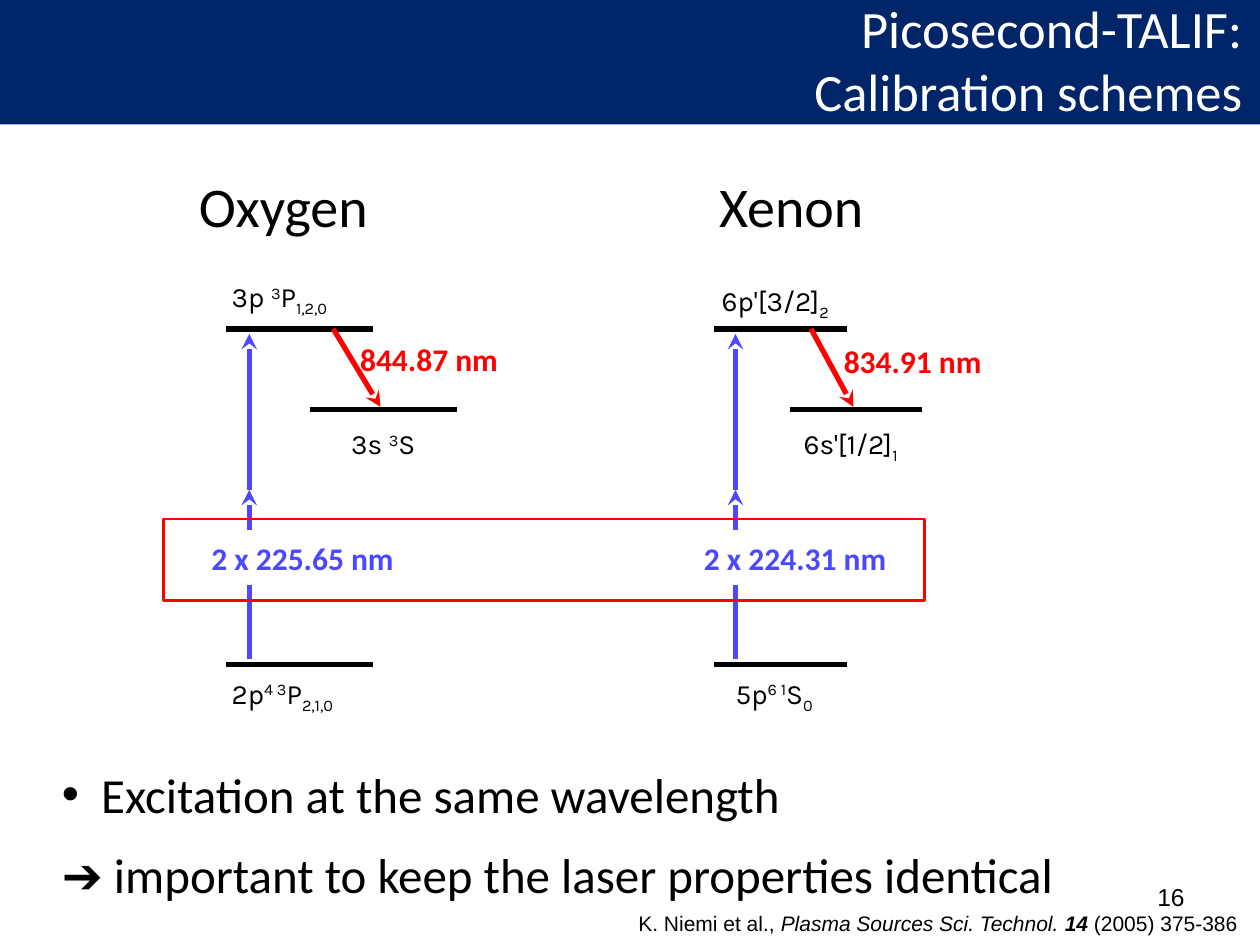
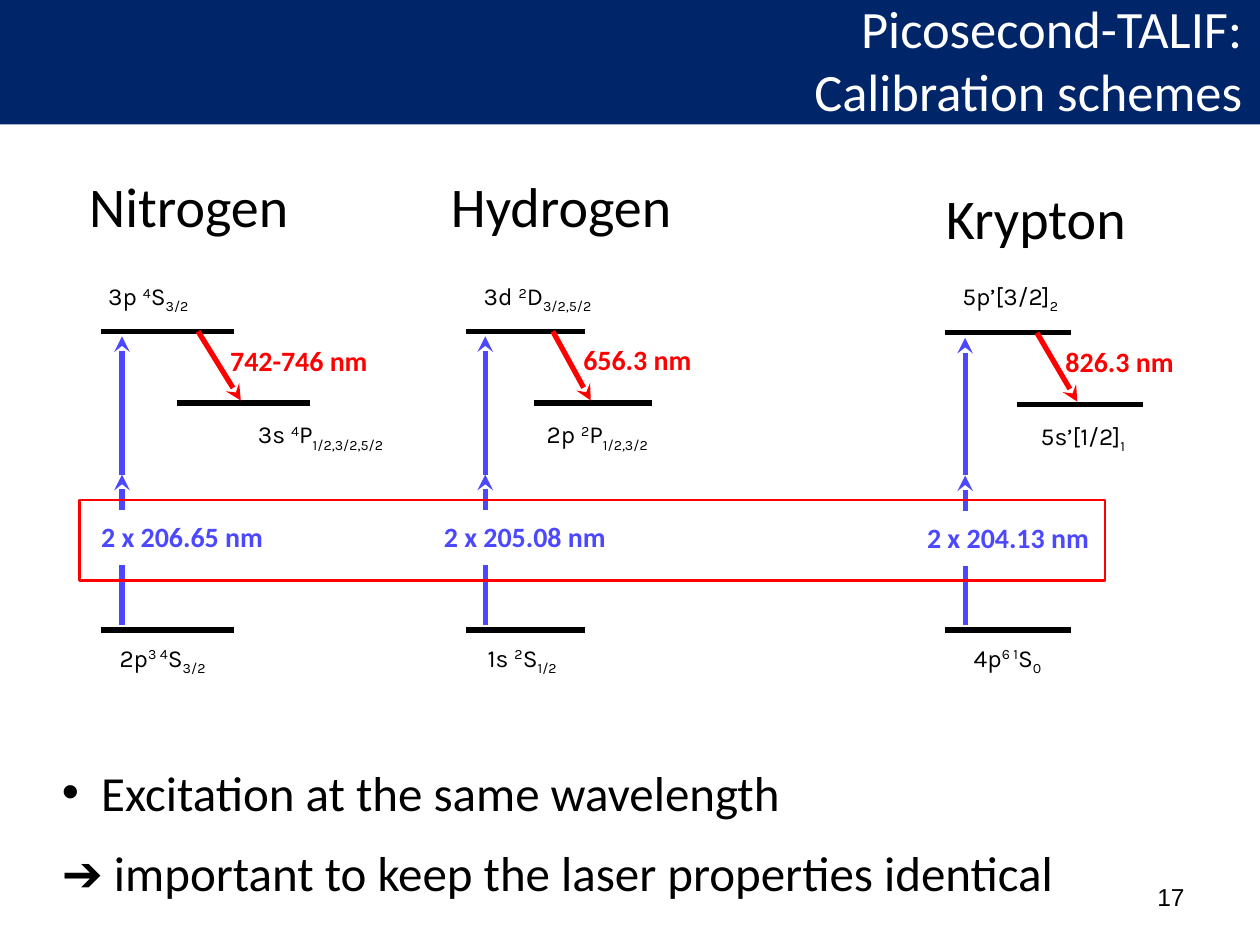
from dataclasses import dataclass
from lxml.etree import SubElement
from pptx import Presentation
from pptx.dml.color import RGBColor
from pptx.enum.shapes import MSO_CONNECTOR, MSO_SHAPE
from pptx.enum.text import MSO_ANCHOR, MSO_AUTO_SIZE, PP_ALIGN
from pptx.oxml.ns import qn
from pptx.util import Cm, Pt

NAVY = RGBColor(0x00, 0x25, 0x69)
BLUE = RGBColor(0x4B, 0x48, 0xFF)
RED = RGBColor(0xFF, 0x00, 0x00)
BLACK = RGBColor(0x00, 0x00, 0x00)
WHITE = RGBColor(0xFF, 0xFF, 0xFF)
SANS, TERM, PLAIN = "Calibri", "Karla", "Arial"
UP, LOW = 30000, -25000

# Places inside a scheme, as shares of the level width or the level span
PUMP_X, SIDE_X, DROP_X, DROP_END = 0.16, 0.57, 0.73, 1.05
SIDE_Y, MID_Y = 0.24, 0.48
GAP = 0.1

Run = tuple[str, int]


@dataclass
class Label:
    """Text and its left and top edge, in cm."""
    runs: list[Run]
    x: float
    y: float


@dataclass
class Scheme:
    """Energy levels of one species; lengths in cm."""
    x: float
    width: float
    top: float
    base: float
    name: Label
    drop: Label
    pump: Label
    terms: list[Label]
    name_w: float
    drop_w: float
    pump_w: float
    term_w: float


@dataclass
class Page:
    number: str
    schemes: list[Scheme]
    frame: tuple[float, float, float, float]
    wave_pt: int
    term_pt: int
    body_y: float


def add_run(para, text: str, size: int, color: RGBColor, face: str,
            bold: bool = False, italic: bool = False, shift: int = 0) -> None:
    run = para.add_run()
    run.text = text
    font = run.font
    font.size, font.name = Pt(size), face
    font.bold, font.italic = bold, italic
    font.color.rgb = color
    if shift:
        run._r.get_or_add_rPr().set("baseline", str(shift))


def add_box(shapes, x: float, y: float, width: float, height: float,
            inset: float = 0.25):
    box = shapes.add_textbox(Cm(x), Cm(y), Cm(width), Cm(height))
    frame = box.text_frame
    frame.word_wrap = True
    frame.vertical_anchor = MSO_ANCHOR.TOP
    frame.margin_left = frame.margin_right = Cm(inset)
    return box


def add_label(shapes, label: Label, width: float, height: float, size: int,
              color: RGBColor, face: str, bold: bool = False,
              inset: float = 0.25):
    box = add_box(shapes, label.x, label.y, width, height, inset)
    for text, shift in label.runs:
        add_run(box.text_frame.paragraphs[0], text, size, color, face, bold,
                shift=shift)
    return box


def add_line(shapes, x1: float, y1: float, x2: float, y2: float,
             color: RGBColor = BLACK, arrow: bool = False) -> None:
    line = shapes.add_connector(MSO_CONNECTOR.STRAIGHT,
                                Cm(x1), Cm(y1), Cm(x2), Cm(y2))
    line.line.color.rgb = color
    line.line.width = Pt(3)
    if arrow:
        SubElement(line.line._get_or_add_ln(), qn("a:tailEnd"), type="stealth")
    SubElement(line.element.spPr, qn("a:effectLst"))


def add_rect(shapes, x: float, y: float, width: float, height: float):
    rect = shapes.add_shape(MSO_SHAPE.RECTANGLE,
                            Cm(x), Cm(y), Cm(width), Cm(height))
    rect.shadow.inherit = False
    return rect


def add_scheme(slide, item: Scheme, page: Page) -> None:
    shapes = slide.shapes.add_group_shape().shapes
    x, width, top, base = item.x, item.width, item.top, item.base
    side = top + SIDE_Y * (base - top)
    mid = top + MID_Y * (base - top)
    pump = x + PUMP_X * width

    add_label(shapes, item.drop, item.drop_w, 1, page.wave_pt, RED, SANS, True)
    for left, level in ((x, base), (x, top), (x + SIDE_X * width, side)):
        add_line(shapes, left, level, left + width, level)
    add_line(shapes, pump, mid, pump, top + GAP, BLUE, True)
    add_line(shapes, pump, base - GAP, pump, mid, BLUE, True)
    add_line(shapes, x + DROP_X * width, top,
             x + DROP_END * width, side - GAP / 2, RED, True)
    for term in item.terms:
        add_label(shapes, term, item.term_w, 1, page.term_pt, BLACK, TERM)
    box = add_label(shapes, item.pump, item.pump_w, 1, page.wave_pt, BLUE,
                    SANS, True, 0.2)
    box.text_frame.paragraphs[0].alignment = PP_ALIGN.CENTER
    box.fill.solid()
    box.fill.fore_color.rgb = WHITE
    box.line.color.rgb = WHITE
    box.line.width = Pt(3)
    add_label(shapes, item.name, item.name_w, 1.63, 32, BLACK, SANS, inset=0.2)


def add_title(slide) -> None:
    title = slide.shapes.title
    title.left, title.top = Cm(1), Cm(-0.2)
    title.width, title.height = Cm(24.3), Cm(1.93)
    frame = title.text_frame
    frame.auto_size = MSO_AUTO_SIZE.NONE
    frame.vertical_anchor = MSO_ANCHOR.TOP
    lines = "Picosecond-TALIF:", "Calibration schemes"
    for i, text in enumerate(lines):
        para = frame.add_paragraph() if i else frame.paragraphs[0]
        para.alignment = PP_ALIGN.RIGHT
        add_run(para, text, 30, WHITE, SANS)


def add_body(slide, y: float) -> None:
    frame = add_box(slide.shapes, 1, y, 23.3, 3.07).text_frame
    first, second = frame.paragraphs[0], frame.add_paragraph()
    props = first._p.get_or_add_pPr()
    props.set("marL", str(Cm(0.79)))
    props.set("indent", str(Cm(-0.79)))
    first.space_after = second.space_before = second.space_after = Pt(6)
    SubElement(props, qn("a:buFont"), typeface=PLAIN)
    SubElement(props, qn("a:buChar"), char="•")
    add_run(first, "Excitation at the same wavelength", 28, BLACK, SANS)
    add_run(second, "➔ important to keep the laser properties identical",
            28, BLACK, SANS)


def add_page(deck, page: Page):
    slide = deck.slides.add_slide(deck.slide_layouts[5])
    add_title(slide)
    for item in page.schemes:
        add_scheme(slide, item, page)
    box = add_box(slide.shapes, 18.21, 17.65, 5.92, 1.02)
    para = box.text_frame.paragraphs[0]
    para.alignment = PP_ALIGN.RIGHT
    add_run(para, page.number, 14, BLACK, PLAIN)
    add_body(slide, page.body_y)
    frame = add_rect(slide.shapes, *page.frame)
    frame.fill.background()
    frame.line.color.rgb = RED
    frame.line.width = Pt(1.5)
    return slide


def add_band(deck, slide) -> None:
    """Put the title band on the shared layout, behind everything."""
    band = add_rect(slide.shapes, 0, 0, 25.4, 2.51)
    band.fill.solid()
    band.fill.fore_color.rgb = NAVY
    band.line.fill.background()
    deck.slide_layouts[5].shapes.element.insert(2, band.element)


def add_source(slide) -> None:
    box = add_box(slide.shapes, 12.62, 18.24, 12.78, 0.76)
    para = box.text_frame.paragraphs[0]
    add_run(para, "K. Niemi et al., ", 12, BLACK, PLAIN)
    add_run(para, "Plasma Sources Sci. Technol. ", 12, BLACK, PLAIN,
            italic=True)
    add_run(para, "14 ", 12, BLACK, PLAIN, bold=True, italic=True)
    add_run(para, "(2005) 375-386", 12, BLACK, PLAIN)


def plain(text: str, x: float, y: float) -> Label:
    return Label([(text, 0)], x, y)


OXYGEN = Scheme(
    4.55, 2.97, 6.63, 13.39, plain("Oxygen", 3.81, 3.33),
    plain("844.87 nm", 7.01, 6.73), plain("2 x 225.65 nm", 3.51, 10.74),
    [Label([("2p", 0), ("4 3", UP), ("P", 0), ("2,1,0", LOW)], 4.42, 13.51),
     Label([("3p ", 0), ("3", UP), ("P", 0), ("1,2,0", LOW)], 4.42, 5.51),
     Label([("3s ", 0), ("3", UP), ("S", 0)], 6.83, 8.48)],
    6.68, 4.06, 5.18, 3.66)
XENON = Scheme(
    14.4, 2.67, 6.63, 13.39, plain("Xenon", 14.3, 3.33),
    plain("834.91 nm", 16.76, 6.78), plain("2 x 224.31 nm", 13.49, 10.74),
    [Label([("5p", 0), ("6 1", UP), ("S", 0), ("0", LOW)], 14.58, 13.51),
     Label([("6p'[3/2]", 0), ("2", LOW)], 14.3, 5.59),
     Label([("6s'[1/2]", 0), ("1", LOW)], 15.95, 8.48)],
    5.99, 4.52, 5.08, 3.28)
NITROGEN = Scheme(
    2.03, 2.69, 6.68, 12.7, plain("Nitrogen", 1.6, 3.33),
    plain("742-746 nm", 4.39, 6.81), plain("2 x 206.65 nm", 0.89, 10.34),
    [Label([("2p", 0), ("3 4", UP), ("S", 0), ("3/2", LOW)], 2.16, 12.83),
     Label([("3p ", 0), ("4", UP), ("S", 0), ("3/2", LOW)], 1.93, 5.54),
     Label([("3s ", 0), ("4", UP), ("P", 0), ("1/2,3/2,5/2", LOW)],
           4.95, 8.33)],
    4.7, 4.55, 5.56, 3.6)
HYDROGEN = Scheme(
    9.4, 2.39, 6.68, 12.7, plain("Hydrogen", 8.89, 3.33),
    plain("656.3 nm", 11.51, 6.78), plain("2 x 205.08 nm", 8.51, 10.34),
    [Label([("1s ", 0), ("2", UP), ("S", 0), ("1/2", LOW)], 9.58, 12.83),
     Label([("3d ", 0), ("2", UP), ("D", 0), ("3/2,5/2", LOW)], 9.5, 5.54),
     Label([("2p ", 0), ("2", UP), ("P", 0), ("1/2,3/2", LOW)], 10.77, 8.33)],
    5.23, 3.05, 4.14, 2.95)
KRYPTON = Scheme(
    19.05, 2.54, 6.71, 12.7, plain("Krypton", 18.87, 3.58),
    plain("826.3 nm", 21.23, 6.83), plain("2 x 204.13 nm", 18.11, 10.36),
    [Label([("4p", 0), ("6 1", UP), ("S", 0), ("0", LOW)], 19.38, 12.83),
     Label([("5p’[3/2]", 0), ("2", LOW)], 19.15, 5.54),
     Label([("5s’[1/2]", 0), ("1", LOW)], 20.73, 8.36)],
    4.62, 3.05, 4.42, 3.12)

PAGES = [
    Page("16", [OXYGEN, XENON], (3.3, 10.46, 15.34, 1.65), 18, 16, 15.29),
    Page("17", [NITROGEN, HYDROGEN, KRYPTON], (1.6, 10.08, 20.68, 1.63),
         16, 14, 15.24),
]


def main() -> None:
    deck = Presentation()
    deck.slide_width, deck.slide_height = Cm(25.4), Cm(19.05)
    slides = [add_page(deck, page) for page in PAGES]
    add_band(deck, slides[0])
    add_source(slides[0])
    deck.save("out.pptx")


if __name__ == "__main__":
    main()
